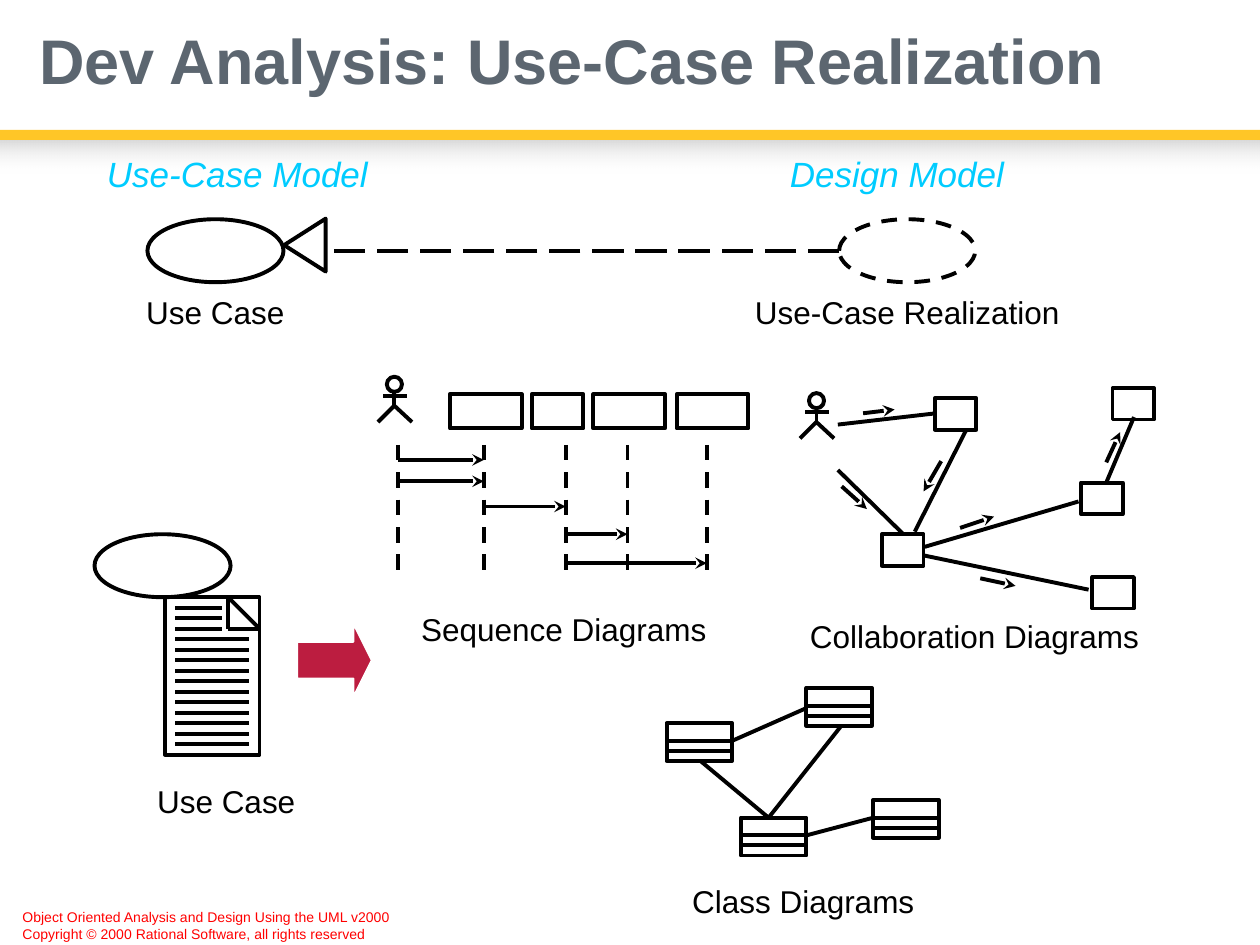
from dataclasses import dataclass

from lxml import etree
from pptx import Presentation
from pptx import util as u
from pptx.dml.color import RGBColor
from pptx.enum import dml, shapes, text
from pptx.oxml.ns import qn
from pptx.util import Inches

SHAPE = shapes.MSO_SHAPE
DASH = dml.MSO_LINE.DASH
LONG_DASH = dml.MSO_LINE.LONG_DASH
CENTER = text.PP_ALIGN.CENTER
LEFT = text.PP_ALIGN.LEFT


@dataclass(frozen=True)
class Theme:
    font: str = "Arial"
    ink: str = "000000"
    title: str = "5C6670"
    heading: str = "00CCFF"
    notice: str = "FF0000"
    band: str = "FFC627"
    shade: str = "D9D9D9"
    paper: str = "FFFFFF"
    arrow: str = "BC1D40"
    title_size: int = 36
    heading_size: int = 20
    label_size: int = 18
    notice_size: int = 8
    stroke: float = 2.25


THEME = Theme()


@dataclass(frozen=True)
class Box:
    left: float
    top: float
    width: float
    height: float

    def inner(self, left, top, width, height):
        return Box(self.left + left, self.top + top, width, height)

    def point(self, x, y):
        return Inches(self.left + x), Inches(self.top + y)

    def emu(self):
        return [Inches(v) for v in (self.left, self.top, self.width, self.height)]


def color(value):
    return RGBColor.from_string(value)


def stroke(line, dash=None):
    line.color.rgb = color(THEME.ink)
    line.width = u.Pt(THEME.stroke)
    if dash is not None:
        line.dash_style = dash


def outline(slide, kind, box, dash=None):
    """Add an unfilled preset shape."""
    shape = slide.shapes.add_shape(kind, *box.emu())
    shape.shadow.inherit = False
    shape.fill.background()
    stroke(shape.line, dash)
    return shape


def connect(slide, box, start, end, dash=None, arrow=False):
    """Draw a line between two points given relative to the box."""
    link = slide.shapes.add_connector(
        shapes.MSO_CONNECTOR.STRAIGHT, *box.point(*start), *box.point(*end))
    stroke(link.line, dash)
    properties = link._element.spPr
    if arrow:
        etree.SubElement(properties.find(qn("a:ln")), qn("a:tailEnd"), type="stealth")
    etree.SubElement(properties, qn("a:effectLst"))


def write(paragraph, words, size, ink, bold=False, italic=False):
    run = paragraph.add_run()
    run.text = words
    font = run.font
    font.name, font.size = THEME.font, u.Pt(size)
    font.bold, font.italic = bold, italic
    font.color.rgb = color(ink)


def label(slide, box, *lines, size=THEME.label_size, ink=THEME.ink,
          align=CENTER, italic=False):
    frame = slide.shapes.add_textbox(*box.emu()).text_frame
    frame.word_wrap = True
    frame.auto_size = text.MSO_AUTO_SIZE.SHAPE_TO_FIT_TEXT
    for index, words in enumerate(lines):
        paragraph = frame.add_paragraph() if index else frame.paragraphs[0]
        paragraph.alignment = align
        write(paragraph, words, size, ink, italic=italic)


def header(slide, box):
    title = slide.shapes.title
    title.left, title.top, title.width, title.height = box.inner(0.21, 0, 9.52, 1.02).emu()
    frame = title.text_frame
    frame.auto_size = text.MSO_AUTO_SIZE.NONE
    frame.vertical_anchor = text.MSO_ANCHOR.MIDDLE
    paragraph = frame.paragraphs[0]
    paragraph.alignment = LEFT
    paragraph.line_spacing = 0.9
    write(paragraph, "Dev Analysis: Use-Case Realization",
          THEME.title_size, THEME.title, bold=True)

    shade = outline(slide, SHAPE.RECTANGLE, box.inner(0, 1.11, box.width, 0.27))
    shade.line.fill.background()
    shade.fill.gradient()
    shade.fill.gradient_angle = 270
    for stop, value in zip(shade.fill.gradient_stops, (THEME.shade, THEME.paper)):
        stop.color.rgb = color(value)
    faded = list(shade._element.spPr.iter(qn("a:srgbClr")))[-1]
    etree.SubElement(faded, qn("a:alpha"), val="0")

    band = outline(slide, SHAPE.RECTANGLE, box.inner(0, 1.03, box.width, 0.08))
    band.line.fill.background()
    band.fill.solid()
    band.fill.fore_color.rgb = color(THEME.band)


def realization(slide, box):
    """Link the use case to its realization across the two models."""
    for x, words in ((0, "Use-Case Model"), (5.42, "Design Model")):
        label(slide, box.inner(x, 0, 2.83, 0.43), words, size=THEME.heading_size,
              ink=THEME.heading, align=LEFT, italic=True)
    outline(slide, SHAPE.OVAL, box.inner(0.42, 0.58, 1.08, 0.5))
    label(slide, box.inner(0.31, 1.12, 1.3, 0.4), "Use Case")
    outline(slide, SHAPE.OVAL, box.inner(5.91, 0.58, 1.08, 0.5), DASH)
    label(slide, box.inner(5.14, 1.12, 2.62, 0.4), "Use-Case Realization")
    connect(slide, box, (5.91, 0.83), (1.83, 0.83), LONG_DASH)
    head = outline(slide, SHAPE.ISOSCELES_TRIANGLE, box.inner(1.46, 0.62, 0.42, 0.33))
    head.rotation = 270


def use_case_document(slide, box):
    outline(slide, SHAPE.OVAL, box.inner(0, 0, 1.08, 0.5))
    page = box.inner(0.56, 0.5, 0.75, 1.25)
    outline(slide, SHAPE.RECTANGLE, page)
    fold = [(0.5, 0), (0.75, 0.25), (0.5, 0.25)]
    for start, end in zip(fold, fold[1:] + fold[:1]):
        connect(slide, page, start, end)
    rows = 15
    for row in range(1, rows):
        y = page.height * row / rows
        connect(slide, page, (0.08, y), (0.45 if row <= 3 else 0.67, y))
    label(slide, box.inner(-0.33, 1.92, 2.75, 0.4), "Use Case")


def leads_to(slide, box):
    arrow = outline(slide, SHAPE.RIGHT_ARROW, box)
    arrow.adjustments[0], arrow.adjustments[1] = 0.5, 0.25
    arrow.fill.solid()
    arrow.fill.fore_color.rgb = color(THEME.arrow)
    arrow.line.color.rgb = color(THEME.paper)
    arrow.line.width = u.Pt(1)


def actor(slide, box):
    outline(slide, SHAPE.OVAL, box.inner(0.07, 0, 0.12, 0.12))
    connect(slide, box, (0.13, 0.12), (0.13, 0.23))
    connect(slide, box, (0.04, 0.15), (0.23, 0.15))
    pen = slide.shapes.build_freeform(*box.point(0, 0.36))
    pen.add_line_segments([box.point(0.13, 0.23), box.point(0.27, 0.36)], close=False)
    legs = pen.convert_to_shape()
    legs.shadow.inherit = False
    legs.fill.background()
    stroke(legs.line)


def sequence_diagram(slide, box):
    actor(slide, box.inner(0, 0, 0.27, 0.36))
    for x, width in ((0.57, 0.57), (1.22, 0.41), (1.71, 0.57), (2.37, 0.57)):
        outline(slide, SHAPE.RECTANGLE, box.inner(x, 0.14, width, 0.27))
    lifelines = (0.16, 0.84, 1.49, 1.98, 2.61)
    for x in lifelines:
        connect(slide, box, (x, 0.54), (x, 1.59), DASH)
    messages = ((0, 1, 0.66), (0, 1, 0.83), (1, 2, 1.03), (2, 3, 1.25), (2, 4, 1.48))
    for sender, receiver, y in messages:
        connect(slide, box, (lifelines[sender], y), (lifelines[receiver], y), arrow=True)
    label(slide, box.inner(0.04, 1.8, 2.87, 0.4), "Sequence Diagrams")


def collaboration_diagram(slide, box):
    actor(slide, box.inner(0, 0.04, 0.27, 0.37))
    links = (((0.3, 0.65), (0.82, 1.16)), ((0.3, 0.29), (1.08, 0.2)),
             ((0.99, 1.33), (2.29, 1.6)), ((0.99, 1.26), (2.21, 0.9)),
             ((2.43, 0.75), (2.65, 0.23)), ((1.32, 0.33), (0.91, 1.14)))
    messages = (((0.33, 0.78), (0.53, 0.96)), ((1.12, 0.58), (0.98, 0.82)),
                ((1.27, 1.11), (1.54, 1.02)), ((1.43, 1.51), (1.71, 1.57)),
                ((2.43, 0.59), (2.54, 0.35)), ((0.5, 0.2), (0.75, 0.17)))
    for start, end in links:
        connect(slide, box, start, end)
    for start, end in messages:
        connect(slide, box, start, end, arrow=True)
    for x, y in ((1.07, 0.08), (0.65, 1.16), (2.32, 1.5), (2.23, 0.75), (2.48, 0)):
        outline(slide, SHAPE.RECTANGLE, box.inner(x, y, 0.33, 0.25))
    label(slide, box.inner(-0.02, 1.77, 2.87, 0.4), "Collaboration Diagrams", align=LEFT)


def class_diagram(slide, box):
    for x, y in ((0, 0.28), (1.11, 0), (0.59, 1.03), (1.64, 0.89)):
        entity = box.inner(x, y, 0.52, 0.3)
        outline(slide, SHAPE.RECTANGLE, entity)
        for divider in (0.14, 0.22):
            connect(slide, entity, (0, divider), (entity.width, divider))
    for start, end in (((0.81, 1.03), (0.27, 0.58)), ((0.52, 0.42), (1.11, 0.16)),
                       ((1.11, 1.17), (1.64, 1.03)), ((0.81, 1.03), (1.38, 0.31))):
        connect(slide, box, start, end)
    label(slide, box.inner(0.1, 1.49, 1.97, 0.4), "Class Diagrams")


def copyright_notice(slide, box):
    label(slide, box, "Object Oriented Analysis and Design Using the UML v2000",
          "Copyright © 2000 Rational Software, all rights reserved",
          size=THEME.notice_size, ink=THEME.notice, align=LEFT)


def main():
    deck = Presentation()
    deck.slide_width, deck.slide_height = Inches(10), Inches(7.5)
    slide = deck.slides.add_slide(deck.slide_layouts.get_by_name("Title Only"))
    header(slide, Box(0, 0, 10, 1.38))
    class_diagram(slide, Box(5.29, 5.46, 2.16, 1.89))
    sequence_diagram(slide, Box(3, 2.99, 2.94, 2.2))
    use_case_document(slide, Box(0.75, 4.24, 1.31, 2.32))
    leads_to(slide, Box(2.36, 4.95, 0.59, 0.58))
    collaboration_diagram(slide, Box(6.35, 3.08, 2.85, 2.17))
    realization(slide, Box(0.75, 1.16, 8.25, 1.52))
    copyright_notice(slide, Box(0.08, 7.16, 5.1, 0.37))
    deck.save("out.pptx")


if __name__ == "__main__":
    main()
